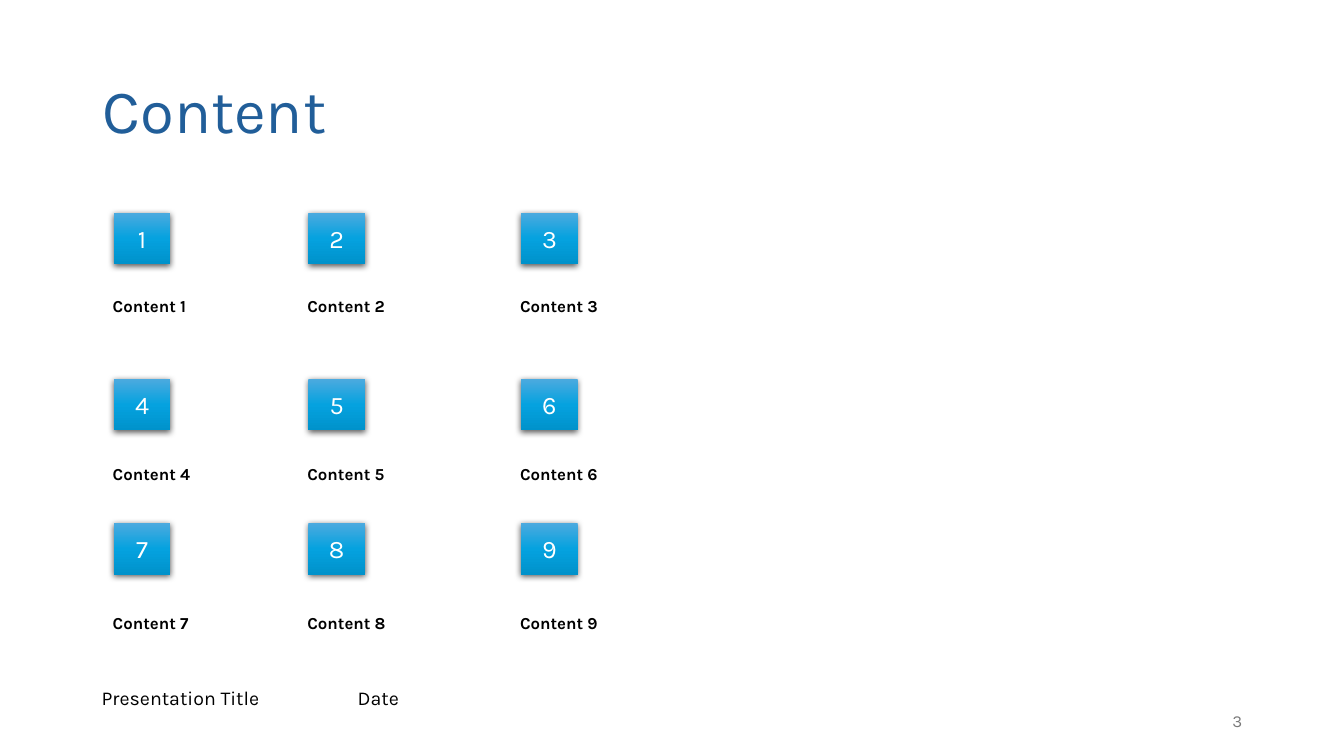
from copy import deepcopy

from lxml import etree
from pptx import Presentation
from pptx.dml.color import RGBColor
from pptx.enum.shapes import MSO_SHAPE
from pptx.enum.text import MSO_ANCHOR, PP_ALIGN
from pptx.oxml.ns import qn
from pptx.util import Pt

PX = 9144
FONT = "Karla"
RECTANGLE = MSO_SHAPE.RECTANGLE
TOP, MIDDLE = MSO_ANCHOR.TOP, MSO_ANCHOR.MIDDLE
LEFT, CENTER, RIGHT = PP_ALIGN.LEFT, PP_ALIGN.CENTER, PP_ALIGN.RIGHT
TILE_GRADIENT = [(0, "4CAADF"), (0.5, "05A2DF"), (1, "0092CB")]
COLUMNS = [113, 306, 517]
ROWS = [(211, 285), (376, 451), (519, 599)]
LABEL_OUTDENT = 11


def color(value):
    """Turn a hex string into a colour."""
    return RGBColor.from_string(value)


def place(left, top, width, height):
    """Turn a px rectangle into EMU lengths."""
    return [length * PX for length in (left, top, width, height)]


def write(shape, text, size, ink, align=LEFT, anchor=MIDDLE, bold=False, spacing=None):
    """Fill a shape with one formatted paragraph and return that paragraph."""
    frame = shape.text_frame
    frame.word_wrap = True
    frame.vertical_anchor = anchor
    frame.text = text
    para = frame.paragraphs[0]
    para.alignment = align
    if spacing:
        para.line_spacing = spacing
    for span in para.runs:
        span.font.name = FONT
        span.font.size = Pt(size)
        span.font.bold = bold
        span.font.color.rgb = color(ink)
    return para


def add_text(page, area, text, size, ink, **layout):
    """Add a text box and return its paragraph."""
    box = page.shapes.add_textbox(*place(*area))
    return write(box, text, size, ink, **layout)


def add_tab_stop(para, position):
    """Give a paragraph one left tab stop."""
    stops = etree.SubElement(para._p.get_or_add_pPr(), qn("a:tabLst"))
    etree.SubElement(stops, qn("a:tab"), pos=str(position * PX), algn="l")


def fill_gradient(shape):
    """Paint a shape with the three-stop vertical tile gradient."""
    fill = shape.fill
    fill.gradient()
    fill.gradient_angle = 270
    stop_list = shape._element.spPr.find(".//" + qn("a:gsLst"))
    stop_list.insert(1, deepcopy(stop_list[0]))
    for stop, (position, value) in zip(fill.gradient_stops, TILE_GRADIENT):
        stop.position = position
        stop.color.rgb = color(value)


def add_shadow(shape):
    """Give a shape a soft black shadow below it."""
    shape.shadow.inherit = False
    effects = shape._element.spPr.find(qn("a:effectLst"))
    shadow = etree.SubElement(
        effects, qn("a:outerShdw"), blurRad=str(Pt(4.5)), dist=str(Pt(1.5)),
        dir="5400000", algn="ctr", rotWithShape="0")
    black = etree.SubElement(shadow, qn("a:srgbClr"), val="000000")
    etree.SubElement(black, qn("a:alpha"), val="63000")


def add_tile(page, left, top, number):
    """Add a numbered gradient tile."""
    tile = page.shapes.add_shape(RECTANGLE, *place(left, top, 56, 51))
    fill_gradient(tile)
    tile.line.fill.background()
    add_shadow(tile)
    write(tile, str(number), 18, "FFFFFF", align=CENTER)


def add_entries(page):
    """Add the grid of tiles with their labels."""
    for row, (tile_top, label_top) in enumerate(ROWS):
        for column, left in enumerate(COLUMNS):
            number = row * len(COLUMNS) + column + 1
            add_tile(page, left, tile_top, number)
            add_text(page, (left - LABEL_OUTDENT, label_top, 133, 40),
                     f"Content {number}", 12, "000000", bold=True, spacing=0.9)


def main():
    """Build and save the deck."""
    deck = Presentation()
    deck.slide_width, deck.slide_height = 1333 * PX, 750 * PX
    page = deck.slides.add_slide(deck.slide_layouts[6])
    add_text(page, (92, 40, 1150, 145), "Content", 44, "215E99", spacing=0.9)
    add_entries(page)
    footer = add_text(page, (91, 676, 626, 34), "Presentation Title\tDate",
                      14, "000000", anchor=TOP)
    add_tab_stop(footer, 254)
    add_text(page, (942, 695, 300, 40), "3", 12, "797979", align=RIGHT)
    deck.save("out.pptx")


if __name__ == "__main__":
    main()
